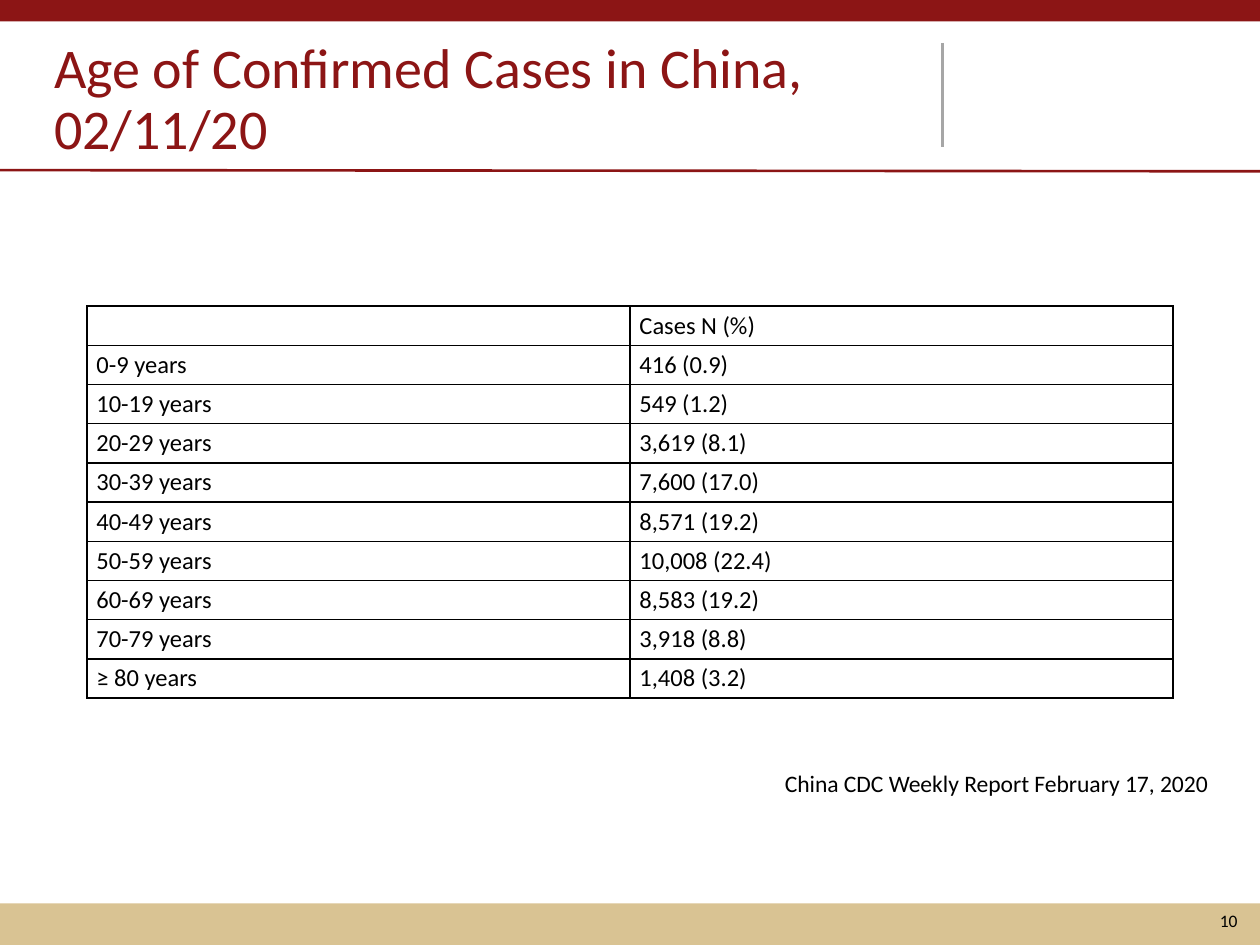
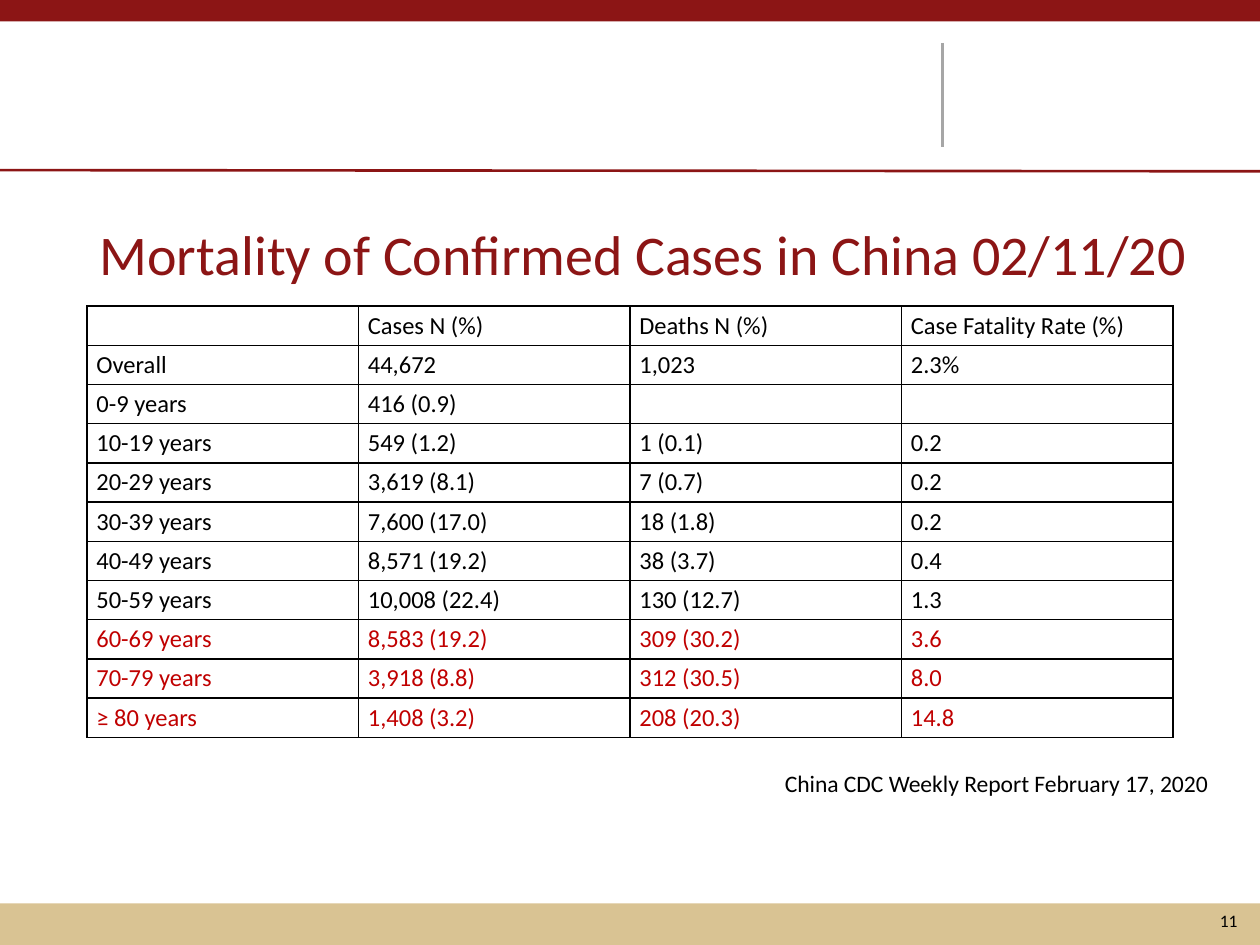
from lxml.etree import SubElement
from pptx import Presentation
from pptx.dml.color import RGBColor
from pptx.enum.shapes import MSO_CONNECTOR, MSO_SHAPE
from pptx.enum.text import MSO_ANCHOR, MSO_AUTO_SIZE, PP_ALIGN
from pptx.oxml.ns import qn
from pptx.util import Inches, Pt

WIDTH, HEIGHT = Inches(10), Inches(7.5)
FONT = "Calibri"
COLORS = {
    "cardinal": "8C1515",
    "sand": "D9C393",
    "gray": "A6A6A6",
    "black": "000000",
    "alert": "C00000",
}
CELL_FORMAT = {
    "margin_left": Pt(5.4),
    "margin_right": Pt(5.4),
    "margin_top": Pt(2.7),
    "margin_bottom": Pt(2.7),
}
CELL_SIZE = 14
ROW_HEIGHT = 4.15
SOURCE = "China CDC Weekly Report February 17, 2020"

# Age group, cases, deaths, case fatality rate
AGE_GROUPS = [
    ("0-9 years", "416 (0.9)", "", ""),
    ("10-19 years", "549 (1.2)", "1 (0.1)", "0.2"),
    ("20-29 years", "3,619 (8.1)", "7 (0.7)", "0.2"),
    ("30-39 years", "7,600 (17.0)", "18 (1.8)", "0.2"),
    ("40-49 years", "8,571 (19.2)", "38 (3.7)", "0.4"),
    ("50-59 years", "10,008 (22.4)", "130 (12.7)", "1.3"),
    ("60-69 years", "8,583 (19.2)", "309 (30.2)", "3.6"),
    ("70-79 years", "3,918 (8.8)", "312 (30.5)", "8.0"),
    ("≥ 80 years", "1,408 (3.2)", "208 (20.3)", "14.8"),
]
HEADER = ("", "Cases N (%)", "Deaths N (%)", "Case Fatality Rate (%)")
OVERALL = ("Overall", "44,672", "1,023", "2.3%")


def color(name):
    return RGBColor.from_string(COLORS[name])


def area(left, top, width, height):
    """Turn percentages of the slide's size into lengths."""
    sides = (WIDTH, HEIGHT, WIDTH, HEIGHT)
    return [round(side * share / 100)
            for side, share in zip(sides, (left, top, width, height))]


def set_format(target, values):
    for name, value in values.items():
        setattr(target, name, value)


def write(para, text, size, ink="black"):
    span = para.add_run()
    span.text = text
    set_format(span.font, {"name": FONT, "size": Pt(size), "bold": False})
    span.font.color.rgb = color(ink)


def add_band(page, top, height, fill):
    band = page.shapes.add_shape(MSO_SHAPE.RECTANGLE, *area(0, top, 100, height))
    band.shadow.inherit = False
    band.fill.solid()
    band.fill.fore_color.rgb = color(fill)
    band.line.fill.background()


def add_rule(page, start, end, ink):
    rule = page.shapes.add_connector(MSO_CONNECTOR.STRAIGHT, *area(*start, *end))
    rule.line.color.rgb = color(ink)
    rule.line.width = Pt(1.5)
    SubElement(rule._element.spPr, qn("a:effectLst"))


def add_text(page, place, text, size, align=PP_ALIGN.LEFT, **frame_format):
    box = page.shapes.add_textbox(*area(*place))
    set_format(box.text_frame, {"word_wrap": True,
                                "auto_size": MSO_AUTO_SIZE.SHAPE_TO_FIT_TEXT,
                                **frame_format})
    para = box.text_frame.paragraphs[0]
    para.alignment = align
    write(para, text, size)


def set_title(page, text, place, fit):
    title = page.shapes.title
    set_format(title, dict(zip(("left", "top", "width", "height"), area(*place))))
    set_format(title.text_frame, {"word_wrap": True, "auto_size": fit,
                                  "vertical_anchor": MSO_ANCHOR.BOTTOM})
    para = title.text_frame.paragraphs[0]
    set_format(para, {"alignment": PP_ALIGN.LEFT, "line_spacing": 0.9})
    write(para, text, 32, "cardinal")


def add_borders(cell):
    properties = cell._tc.get_or_add_tcPr()
    for position, side in enumerate(("lnL", "lnR", "lnT", "lnB")):
        border = SubElement(properties, qn(f"a:{side}"), w=str(Pt(1)))
        fill = SubElement(border, qn("a:solidFill"))
        SubElement(fill, qn("a:srgbClr"), val=COLORS["black"])
        properties.insert(position, border)


def fill_cell(cell, text, ink):
    set_format(cell, CELL_FORMAT)
    cell.fill.background()
    add_borders(cell)
    para = cell.text_frame.paragraphs[0]
    if text:
        write(para, text, CELL_SIZE, ink)
    else:
        # An empty cell keeps the height of a text line
        SubElement(para._p, qn("a:endParaRPr"), sz=str(CELL_SIZE * 100))


def add_case_table(page, rows, alert_rows=0):
    columns = len(rows[0])
    place = area(6.9, 32.4, 86.2, ROW_HEIGHT * len(rows))
    table = page.shapes.add_table(len(rows), columns, *place).table
    set_format(table, {"first_row": False, "horz_banding": False})
    for row_number, row in enumerate(rows):
        ink = "alert" if row_number >= len(rows) - alert_rows else "black"
        for column_number, text in enumerate(row):
            fill_cell(table.cell(row_number, column_number), text, ink)


def add_page(deck, number):
    """Start a page with the shared bands, rules, number and source."""
    page = deck.slides.add_slide(deck.slide_layouts[5])
    add_band(page, 95.6, 4.4, "sand")
    add_band(page, 0, 2.27, "cardinal")
    add_rule(page, (0, 18), (100, 18.13), "cardinal")
    add_rule(page, (74.8, 4.53), (74.8, 15.6), "gray")
    add_text(page, (95.5, 95.6, 3.7, 3.6), str(number), 10, PP_ALIGN.RIGHT,
             word_wrap=False, vertical_anchor=MSO_ANCHOR.BOTTOM)
    add_text(page, (61.3, 80.67, 35.8, 7.47), SOURCE, 13.5)
    return page


def main():
    deck = Presentation()
    set_format(deck, {"slide_width": WIDTH, "slide_height": HEIGHT})

    # Cases by age
    page = add_page(deck, 10)
    set_title(page, "Age of Confirmed Cases in China, 02/11/20",
              (3.3, 9.87, 70, 7.87), MSO_AUTO_SIZE.SHAPE_TO_FIT_TEXT)
    add_case_table(page, [row[:2] for row in (HEADER, *AGE_GROUPS)])

    # Mortality by age, with the oldest groups picked out
    page = add_page(deck, 11)
    set_title(page, "Mortality of Confirmed Cases in China 02/11/20",
              (6.9, 16.53, 90.2, 14.53), MSO_AUTO_SIZE.NONE)
    add_case_table(page, [HEADER, OVERALL, *AGE_GROUPS], alert_rows=3)

    deck.save("out.pptx")


if __name__ == "__main__":
    main()
